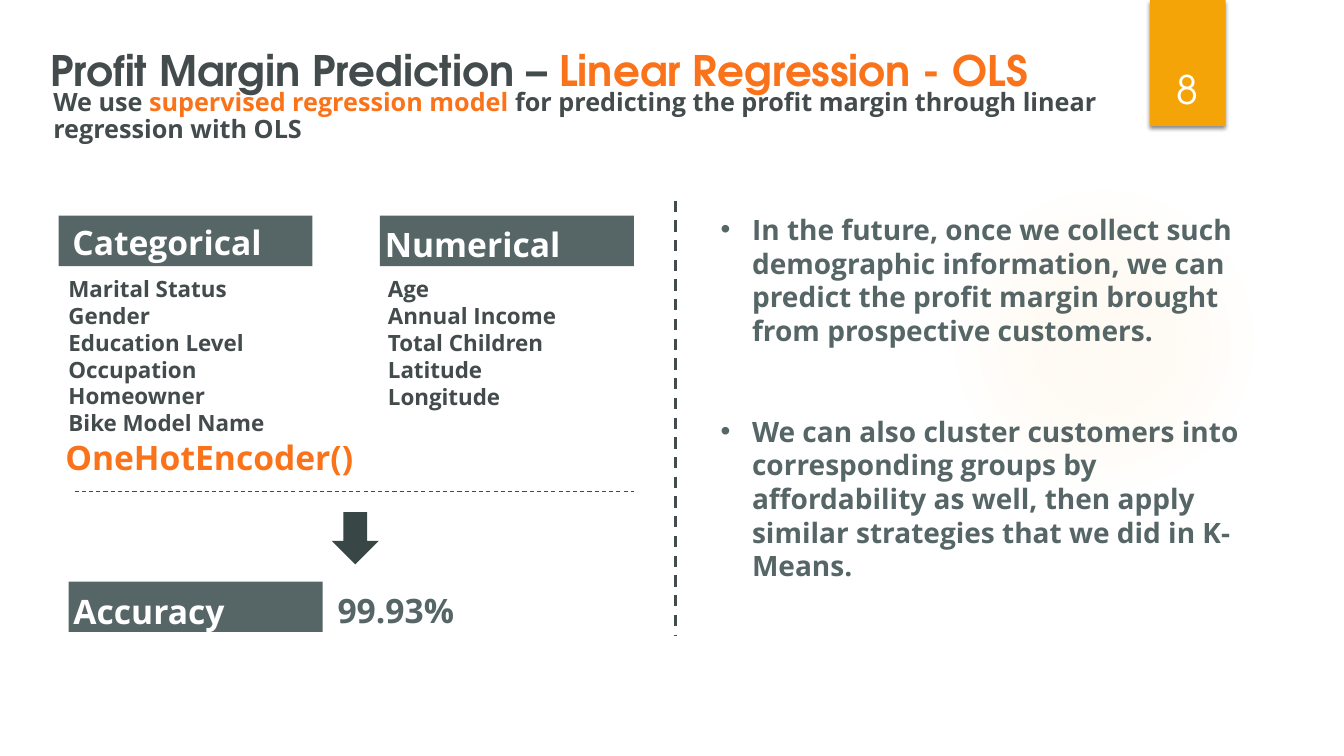
from dataclasses import dataclass

from lxml import etree
from pptx import Presentation
from pptx.dml.color import RGBColor
from pptx.enum import dml, shapes, text
from pptx.oxml import parse_xml
from pptx.oxml.ns import nsdecls, qn
from pptx.util import Pt


@dataclass(frozen=True)
class Theme:
    body_font: str = "Open Sans"
    title_font: str = "TeX Gyre Adventor"
    ink: str = "434B4C"
    slate: str = "566565"
    arrow: str = "384646"
    orange: str = "FA731A"
    amber: str = "F5A408"
    glow: str = "FAC96A"
    white: str = "FFFFFF"
    title: int = 30
    number: int = 28
    heading: int = 24
    bullet: int = 20
    subtitle: int = 18
    item: int = 16
    leading: float = 1.2


THEME = Theme()

TITLE = [("Profit Margin Prediction – ", THEME.ink),
         ("Linear Regression - OLS", THEME.orange)]
SUBTITLE = [("We use ", THEME.ink),
            ("supervised regression model ", THEME.orange),
            ("for predicting the profit margin through linear regression with OLS", THEME.ink)]
PAGE_NUMBER = "8"
# label, bar left and top, label left and top
HEADINGS = [("Categorical", (41.8, 154.1), (44.6, 154.8)),
            ("Numerical", (271.4, 154.1), (267.8, 156.2)),
            ("Accuracy", (49, 415.4), (45.4, 418.3))]
FEATURES = [(41.8, ["Marital Status", "Gender", "Education Level", "Occupation",
                    "Homeowner", "Bike Model Name"]),
            (270, ["Age", "Annual Income", "Total Children", "Latitude", "Longitude"])]
ENCODER = "OneHotEncoder()"
ACCURACY = "99.93%"
OUTLOOK = ["In the future, once we collect such demographic information, we can predict "
           "the profit margin brought from prospective customers.",
           "We can also cluster customers into corresponding groups by affordability as "
           "well, then apply similar strategies that we did in K-Means."]

BAR_WIDTH, BAR_HEIGHT = 181.4, 36
FEATURES_TOP = 193
BULLET_INDENT = 22.5
GLOW_STOPS = [(0, 7), (36, 6), (69, 0)]  # position and opacity, in percent

deck = Presentation()
deck.slide_width, deck.slide_height = Pt(960), Pt(540)
page = deck.slides.add_slide(deck.slide_layouts[6])


def add_block(kind, left, top, width, height, color):
    block = page.shapes.add_shape(kind, Pt(left), Pt(top), Pt(width), Pt(height))
    block.shadow.inherit = False
    block.fill.solid()
    block.fill.fore_color.rgb = RGBColor.from_string(color)
    block.line.fill.background()
    return block


def add_text(left, top, width, height, paragraphs, size, font=THEME.body_font,
             bold=True, anchor=text.MSO_ANCHOR.TOP, spacing=None):
    """Each paragraph is a list of (wording, colour) spans."""
    box = page.shapes.add_textbox(Pt(left), Pt(top), Pt(width), Pt(height))
    frame = box.text_frame
    frame.word_wrap = True
    frame.vertical_anchor = anchor
    for index, spans in enumerate(paragraphs):
        para = frame.add_paragraph() if index else frame.paragraphs[0]
        para.line_spacing = spacing or Pt(size * THEME.leading)
        for wording, color in spans:
            span = para.add_run()
            span.text = wording
            span.font.name, span.font.size, span.font.bold = font, Pt(size), bold
            span.font.color.rgb = RGBColor.from_string(color)
    return frame


def add_dashed_line(start, end, weight):
    line = page.shapes.add_connector(shapes.MSO_CONNECTOR.STRAIGHT,
                                     *(Pt(value) for value in start + end))
    line.line.color.rgb = RGBColor.from_string(THEME.ink)
    line.line.width = Pt(weight)
    line.line.dash_style = dml.MSO_LINE.DASH
    etree.SubElement(line._element.spPr, qn("a:effectLst"))


def add_glow(left, top, size):
    glow = add_block(shapes.MSO_SHAPE.OVAL, left, top, size, size, THEME.glow)
    stops = "".join(
        f'<a:gs pos="{place * 1000}"><a:srgbClr val="{THEME.glow}">'
        f'<a:alpha val="{opacity * 1000}"/></a:srgbClr></a:gs>'
        for place, opacity in GLOW_STOPS)
    gradient = parse_xml(
        f'<a:gradFill {nsdecls("a")}><a:gsLst>{stops}</a:gsLst><a:path path="circle">'
        '<a:fillToRect l="50000" t="50000" r="50000" b="50000"/></a:path></a:gradFill>')
    properties = glow._element.spPr
    properties.replace(properties.find(qn("a:solidFill")), gradient)


def add_badge():
    badge = add_block(shapes.MSO_SHAPE.RECTANGLE, 821.5, 0, 54, 90, THEME.amber)
    badge._element.spPr.find(qn("a:effectLst")).append(parse_xml(
        f'<a:outerShdw {nsdecls("a")} blurRad="{Pt(3)}" dist="{Pt(2)}" dir="5400000" '
        'rotWithShape="0"><a:srgbClr val="000000"><a:alpha val="45000"/></a:srgbClr>'
        '</a:outerShdw>'))
    frame = add_text(815, 23, 66.2, 60.5, [[(PAGE_NUMBER, THEME.white)]], THEME.number,
                     THEME.title_font, False, text.MSO_ANCHOR.BOTTOM, 1.0)
    frame.paragraphs[0].alignment = text.PP_ALIGN.CENTER


def add_outlook():
    frame = add_text(507.6, 148.3, 399.6, 249.8,
                     [[(point, THEME.slate)] for point in OUTLOOK], THEME.bullet)
    for index, para in enumerate(frame.paragraphs):
        para.space_before = Pt(index * 2 * THEME.bullet * THEME.leading)
        properties = para._p.get_or_add_pPr()
        properties.set("marL", str(Pt(BULLET_INDENT)))
        properties.set("indent", str(-Pt(BULLET_INDENT)))
        etree.SubElement(properties, qn("a:buFont")).set("typeface", "Arial")
        etree.SubElement(properties, qn("a:buChar")).set("char", "•")


add_glow(677.5, 131.8, 221.8)
add_badge()
add_text(28.8, 30.2, 810.7, 41.8, [TITLE], THEME.title, THEME.title_font,
         anchor=text.MSO_ANCHOR.BOTTOM, spacing=0.9)
add_text(31, 77, 810.7, 28.8, [SUBTITLE], THEME.subtitle,
         anchor=text.MSO_ANCHOR.BOTTOM, spacing=Pt(19.3))

for label, bar_corner, label_corner in HEADINGS:
    add_block(shapes.MSO_SHAPE.RECTANGLE, *bar_corner, BAR_WIDTH, BAR_HEIGHT, THEME.slate)
    add_text(*label_corner, BAR_WIDTH, BAR_HEIGHT, [[(label, THEME.white)]], THEME.heading)

for left, names in FEATURES:
    height = len(names) * THEME.item * THEME.leading + 7.2
    add_text(left, FEATURES_TOP, BAR_WIDTH, height,
             [[(name, THEME.ink)] for name in names], THEME.item)

add_text(39.6, 308.2, 239, BAR_HEIGHT, [[(ENCODER, THEME.orange)]], THEME.heading)
add_text(234, 417.6, BAR_WIDTH, BAR_HEIGHT, [[(ACCURACY, THEME.slate)]], THEME.heading)
add_block(shapes.MSO_SHAPE.DOWN_ARROW, 236.9, 365.8, 33.8, 37.4, THEME.arrow)
add_dashed_line((53.3, 351.4), (452.9, 351.4), 0.75)
add_dashed_line((482.4, 143.3), (482.4, 454.3), 2)
add_outlook()

deck.save("out.pptx")
